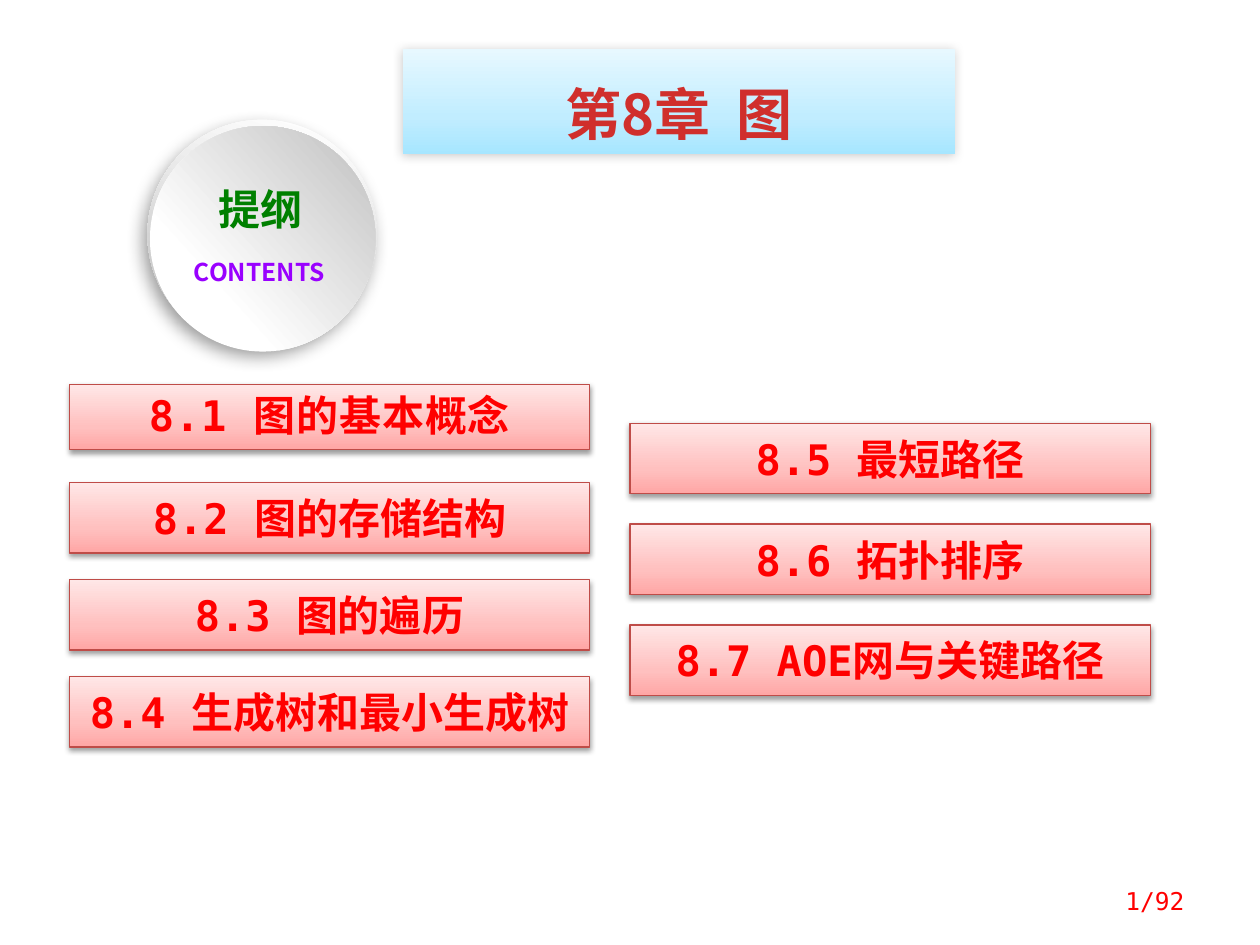
from dataclasses import dataclass

from lxml import etree
from pptx import Presentation
from pptx.dml.color import RGBColor
from pptx.enum.shapes import MSO_SHAPE
from pptx.enum.text import MSO_ANCHOR, PP_ALIGN
from pptx.oxml.ns import qn
from pptx.util import Inches, Pt

RECTANGLE, OVAL = MSO_SHAPE.RECTANGLE, MSO_SHAPE.OVAL
MIDDLE = MSO_ANCHOR.MIDDLE
CENTER, RIGHT = PP_ALIGN.CENTER, PP_ALIGN.RIGHT


@dataclass(frozen=True)
class Theme:
    red: str = "FF0000"
    green: str = "008000"
    purple: str = "9900FF"
    entry_line: str = "BF4C48"
    # Gradients are (stops, clockwise angle)
    title_fill: tuple = (((0, "A7E6FF"), (35, "C1EDFF"), (100, "E7F8FF")), 270)
    title_text: tuple = (((0, "FC7C7A"), (75, "D02F2C"), (100, "C70500")), 90)
    entry_fill: tuple = (((0, "FFA6A5"), (35, "FFC0BF"), (100, "FFE7E7")), 270)
    rim_fill: tuple = (((17, "FFFFFF"), (88, "B8B8B8")), 45)
    disc_fill: tuple = (((29, "FFFFFF"), (98, "BFBFBF")), 45)
    # Shadows are (opacity %, blur pt, distance pt, direction)
    title_shadow: tuple = (20, 6, 1, 135)
    entry_shadow: tuple = (38, 3.1, 1.6, 90)
    rim_shadow: tuple = (39, 10, 5, 123)
    mono: str = "DejaVu Sans Mono"
    sans: str = "Noto Sans CJK SC"
    title_font: str = "Noto Sans CJK JP"
    title_size: int = 32
    heading_size: int = 24
    small_size: int = 14


THEME = Theme()

LEFT_ENTRIES = ["8.2 图的存储结构", "8.3 图的遍历", "8.4 生成树和最小生成树"]
RIGHT_ENTRIES = ["8.5 最短路径", "8.6 拓扑排序", "8.7 AOE网与关键路径"]


def add_color(parent, value):
    return etree.SubElement(parent, qn("a:srgbClr"), val=value)


def apply_gradient(fill, properties, gradient):
    """Fill a shape or a run, whose XML properties are given, with a gradient."""
    stops, angle = gradient
    fill.background()
    element = etree.Element(qn("a:gradFill"), rotWithShape="1")
    stop_list = etree.SubElement(element, qn("a:gsLst"))
    for position, value in stops:
        stop = etree.SubElement(stop_list, qn("a:gs"), pos=str(position * 1000))
        add_color(stop, value)
    etree.SubElement(element, qn("a:lin"), ang=str(angle * 60000), scaled="0")
    properties.replace(properties.find(qn("a:noFill")), element)


def apply_shadow(shape, shadow):
    shape.shadow.inherit = False
    if shadow is None:
        return
    opacity, blur, distance, direction = shadow
    effects = shape._element.spPr.find(qn("a:effectLst"))
    outer = etree.SubElement(
        effects, qn("a:outerShdw"), blurRad=str(Pt(blur)), dist=str(Pt(distance)),
        dir=str(direction * 60000), algn="ctr", rotWithShape="0")
    color = add_color(outer, "000000")
    etree.SubElement(color, qn("a:alpha"), val=str(opacity * 1000))


def add_panel(shapes, kind, box, gradient, line=None, shadow=None):
    shape = shapes.add_shape(kind, *map(Inches, box))
    apply_gradient(shape.fill, shape._element.spPr, gradient)
    if line:
        shape.line.color.rgb = RGBColor.from_string(line)
        shape.line.width = Pt(0.75)
    else:
        shape.line.fill.background()
    apply_shadow(shape, shadow)
    return shape


def write_text(shape, text, *, size, font, color=None, gradient=None, bold=True,
               align=CENTER, top=0.05, bottom=0.05, spacing=None):
    frame = shape.text_frame
    frame.word_wrap = True
    frame.vertical_anchor = MIDDLE
    frame.margin_top, frame.margin_bottom = Inches(top), Inches(bottom)
    paragraph = frame.paragraphs[0]
    paragraph.alignment = align
    run = paragraph.add_run()
    run.text = text
    run.font.size = Pt(size)
    run.font.bold = bold
    properties = run.font._element
    if gradient:
        apply_gradient(run.font.fill, properties, gradient)
    else:
        run.font.color.rgb = RGBColor.from_string(color)
    run.font.name = font
    east_asian = THEME.sans if font == THEME.mono else font
    etree.SubElement(properties, qn("a:ea"), typeface=east_asian)
    if spacing:
        properties.set("spc", str(round(spacing * 100)))


def add_label(slide, box, text, **text_format):
    write_text(slide.shapes.add_textbox(*map(Inches, box)), text, **text_format)


def add_title(slide):
    banner = add_panel(slide.shapes, RECTANGLE, (3.2, 0.39, 4.38, 0.83),
                       THEME.title_fill, shadow=THEME.title_shadow)
    write_text(banner, "第8章  图", size=THEME.title_size, font=THEME.title_font,
               gradient=THEME.title_text, top=0.24)


def add_badge(slide):
    badge = slide.shapes.add_group_shape()
    rim = add_panel(badge.shapes, OVAL, (1.17, 0.95, 1.82, 1.82),
                    THEME.rim_fill, shadow=THEME.rim_shadow)
    rim.rotation = 62.3
    disc = add_panel(badge.shapes, OVAL, (1.19, 1, 1.79, 1.79), THEME.disc_fill)
    disc.rotation = 273
    add_label(slide, (1.33, 1.99, 1.46, 0.34), "CONTENTS",
              size=THEME.small_size, font=THEME.sans, color=THEME.purple)
    add_label(slide, (1.49, 1.41, 1.15, 0.5), "提纲",
              size=THEME.heading_size, font=THEME.sans, color=THEME.green)


def add_entry(slide, left, top, text, height=0.56, margin_top=0.08, spacing=None):
    entry = add_panel(slide.shapes, RECTANGLE, (left, top, 4.13, height),
                      THEME.entry_fill, THEME.entry_line, THEME.entry_shadow)
    write_text(entry, text, size=THEME.heading_size, font=THEME.mono,
               color=THEME.red, top=margin_top, bottom=0.08, spacing=spacing)


def add_entries(slide, left, top, pitch, entries):
    for index, text in enumerate(entries):
        add_entry(slide, left, top + index * pitch, text)


def main():
    presentation = Presentation()
    presentation.slide_width, presentation.slide_height = Inches(10), Inches(7.5)
    slide = presentation.slides.add_slide(presentation.slide_layouts[6])
    add_title(slide)
    add_badge(slide)
    add_entry(slide, 0.55, 3.05, "8.1 图的基本概念",
              height=0.52, margin_top=0.04, spacing=0.5)
    add_entries(slide, 0.55, 3.83, 0.77, LEFT_ENTRIES)
    add_entries(slide, 5, 3.36, 0.8, RIGHT_ENTRIES)
    add_label(slide, (8.28, 6.95, 1.22, 0.4), "1/92", size=THEME.small_size,
              font=THEME.mono, color=THEME.red, bold=False, align=RIGHT)
    presentation.save("out.pptx")


if __name__ == "__main__":
    main()
